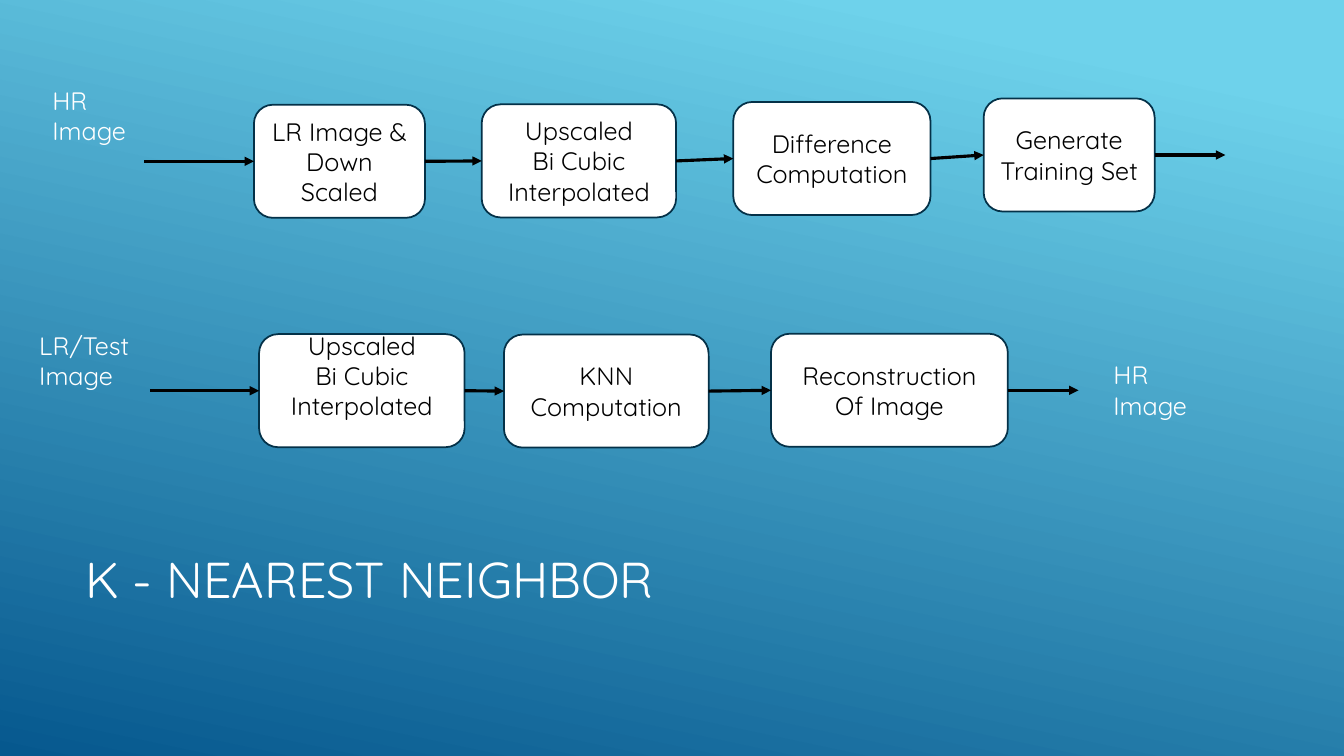
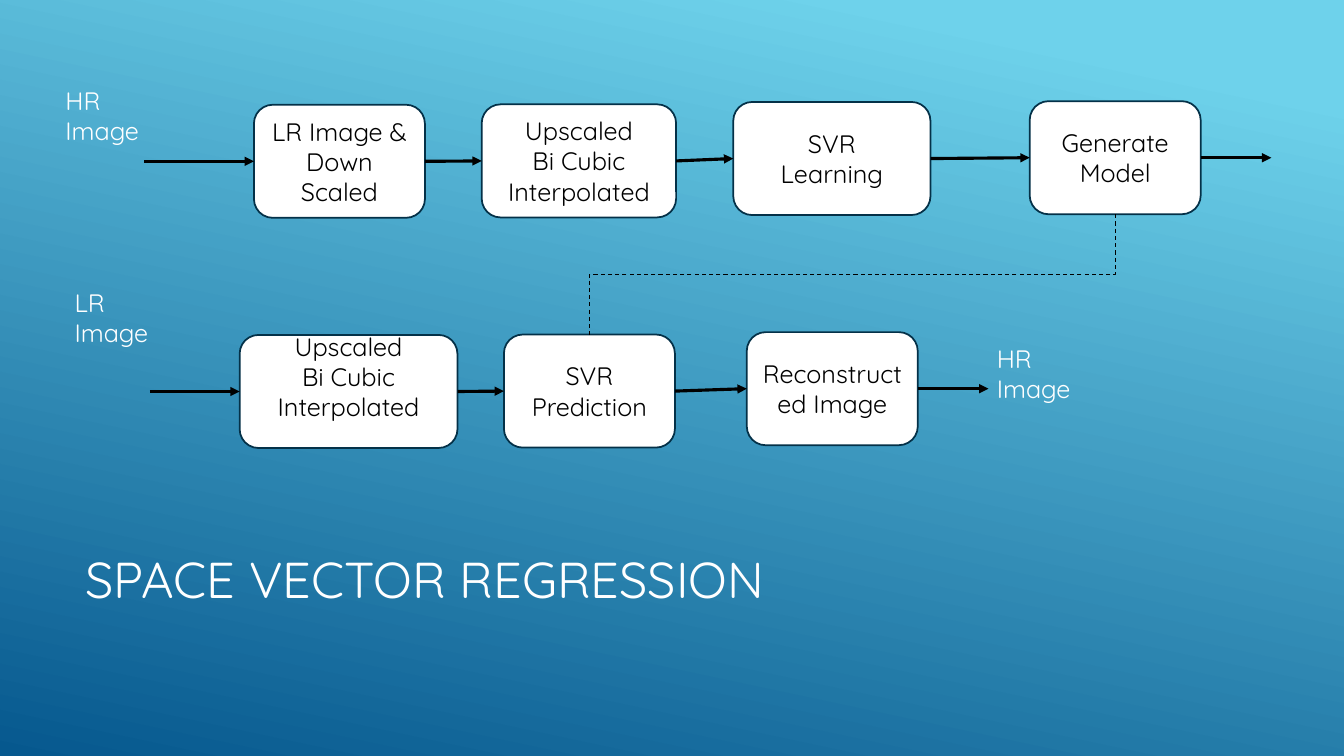
from lxml import etree
from pptx import Presentation
from pptx.dml.color import RGBColor
from pptx.enum.dml import MSO_LINE
from pptx.enum.shapes import MSO_CONNECTOR as Connector, MSO_SHAPE as Shape
from pptx.enum.text import MSO_ANCHOR as Anchor, PP_ALIGN as Align
from pptx.oxml.ns import qn
from pptx.util import Cm, Pt

WHITE = RGBColor(0xFF, 0xFF, 0xFF)
BLACK = RGBColor(0x00, 0x00, 0x00)
OUTLINE = RGBColor(0x04, 0x31, 0x48)
SKY = RGBColor(0x6E, 0xD2, 0xEB)
DEEP_BLUE = RGBColor(0x06, 0x58, 0x8E)
FONT = "Quicksand"

BOX_HEIGHT = 2.85
EXIT_LENGTH = 1.78
LABEL_WIDTH = 2.57
TOP, LEFT, BOTTOM, RIGHT = 0, 1, 2, 3
UPSCALED = ("Upscaled", "Bi Cubic Interpolated")


class FlowDeck:
    def __init__(self):
        self.presentation = Presentation()
        self.presentation.slide_width = Cm(33.87)
        self.presentation.slide_height = Cm(19.05)
        self.slide = None
        fill = self.presentation.slide_master.background.fill
        fill.gradient()
        fill.gradient_angle = 258
        for stop, position, color in zip(fill.gradient_stops, (0.1, 1), (SKY, DEEP_BLUE)):
            stop.position = position
            stop.color.rgb = color

    def new_slide(self, title):
        self.slide = self.presentation.slides.add_slide(self.presentation.slide_layouts[6])
        self.label(title, 1.9, 12.47, 23.7, 4.19, size=36, anchor=Anchor.MIDDLE)

    def add_text(self, shape, lines, color, size=18, align=Align.LEFT, anchor=Anchor.TOP):
        frame = shape.text_frame
        frame.word_wrap = True
        frame.vertical_anchor = anchor
        for index, line in enumerate(lines):
            paragraph = frame.add_paragraph() if index else frame.paragraphs[0]
            paragraph.alignment = align
            run = paragraph.add_run()
            run.text = line
            run.font.name = FONT
            run.font.size = Pt(size)
            run.font.color.rgb = color

    def label(self, text, left, top, width=LABEL_WIDTH, height=1.8, **style):
        shape = self.slide.shapes.add_textbox(Cm(left), Cm(top), Cm(width), Cm(height))
        self.add_text(shape, [text], WHITE, **style)

    def box(self, lines, left, top, width=4.31, lift=0):
        """Add a step; lift is extra room kept free below its text."""
        shape = self.slide.shapes.add_shape(
            Shape.ROUNDED_RECTANGLE, Cm(left), Cm(top), Cm(width), Cm(BOX_HEIGHT))
        shape.shadow.inherit = False
        shape.fill.solid()
        shape.fill.fore_color.rgb = WHITE
        shape.line.color.rgb = OUTLINE
        shape.line.width = Pt(1.25)
        shape.text_frame.margin_bottom = Cm(0.13 + lift)
        self.add_text(shape, lines, BLACK, align=Align.CENTER, anchor=Anchor.MIDDLE)
        return shape

    def connector(self, kind, start, end, weight):
        connector = self.slide.shapes.add_connector(kind, *start, *end)
        connector.line.color.rgb = BLACK
        connector.line.width = Pt(weight)
        etree.SubElement(connector._element.spPr, qn("a:effectLst"))
        return connector

    def arrow(self, start, end, source=None, target=None):
        connector = self.connector(Connector.STRAIGHT, start, end, 2.25)
        if source is not None:
            connector.begin_connect(source, RIGHT)
        if target is not None:
            connector.end_connect(target, LEFT)
        line = connector._element.spPr.find(qn("a:ln"))
        etree.SubElement(line, qn("a:tailEnd")).set("type", "triangle")

    def flow(self, entry_left, steps):
        """Add a row of boxes with an arrow in, arrows between and an arrow out."""
        boxes = [self.box(**step) for step in steps]
        first, last = boxes[0], boxes[-1]
        middle = first.top + first.height // 2
        self.arrow((Cm(entry_left), middle), (first.left, middle), target=first)
        for source, target in zip(boxes, boxes[1:]):
            self.arrow((source.left + source.width, middle), (target.left, middle), source, target)
        middle = last.top + last.height // 2
        right = last.left + last.width
        self.arrow((right, middle), (right + Cm(EXIT_LENGTH), middle), source=last)
        return boxes

    def dashed_elbow(self, source, target):
        """Join the bottom of source to the top of target, which lies lower and to the left."""
        start = source.left + source.width // 2, source.top + source.height
        end = target.left + target.width // 2, target.top
        connector = self.connector(Connector.ELBOW, start, end, 0.75)
        connector.line.dash_style = MSO_LINE.DASH
        connector.begin_connect(source, BOTTOM)
        connector.end_connect(target, TOP)
        across, down = start[0] - end[0], end[1] - start[1]
        # A quarter turn makes the elbow leave and arrive vertically.
        connector.left = (start[0] + end[0] - down) // 2
        connector.top = (start[1] + end[1] - across) // 2
        connector.width, connector.height = down, across
        transform = connector._element.spPr.find(qn("a:xfrm"))
        transform.set("flipH", "0")
        transform.set("rot", str(90 * 60000))


def main():
    deck = FlowDeck()
    preparation = [
        dict(lines=["LR Image & Down Scaled"], left=6.4, top=2.64),
        dict(lines=UPSCALED, left=12.14, top=2.63, width=4.9),
    ]

    deck.new_slide("K - NEAREST NEIGHBOR")
    deck.flow(3.63, preparation + [
        dict(lines=["Difference", "Computation"], left=18.48, top=2.57, width=4.97),
        dict(lines=["Generate Training Set"], left=24.79, top=2.48),
    ])
    deck.flow(3.78, [
        dict(lines=UPSCALED, left=6.53, top=8.42, width=5.18, lift=0.76),
        dict(lines=["KNN Computation"], left=12.7, top=8.43, width=5.16),
        dict(lines=["Reconstruction Of Image"], left=19.43, top=8.41, width=5.97),
    ])
    deck.label("HR Image", 1.07, 2.03)
    deck.label("LR/Test Image", 0.74, 8.2, 3.15)
    deck.label("HR Image", 27.81, 8.94)

    deck.new_slide("SPACE VECTOR REGRESSION")
    training = deck.flow(3.63, preparation + [
        dict(lines=["SVR", "Learning"], left=18.48, top=2.57, width=4.97),
        dict(lines=["Generate Model"], left=25.95, top=2.55),
    ])
    testing = deck.flow(3.78, [
        dict(lines=UPSCALED, left=6.04, top=8.44, width=5.49, lift=0.76),
        dict(lines=["SVR Prediction"], left=12.7, top=8.43),
        dict(lines=["Reconstructed Image"], left=18.82, top=8.37),
    ])
    deck.label("HR Image", 1.4, 2.03)
    deck.label("LR Image", 1.63, 7.11)
    deck.label("HR Image", 24.87, 8.53)
    deck.dashed_elbow(training[-1], testing[1])

    deck.presentation.save("out.pptx")


if __name__ == "__main__":
    main()
